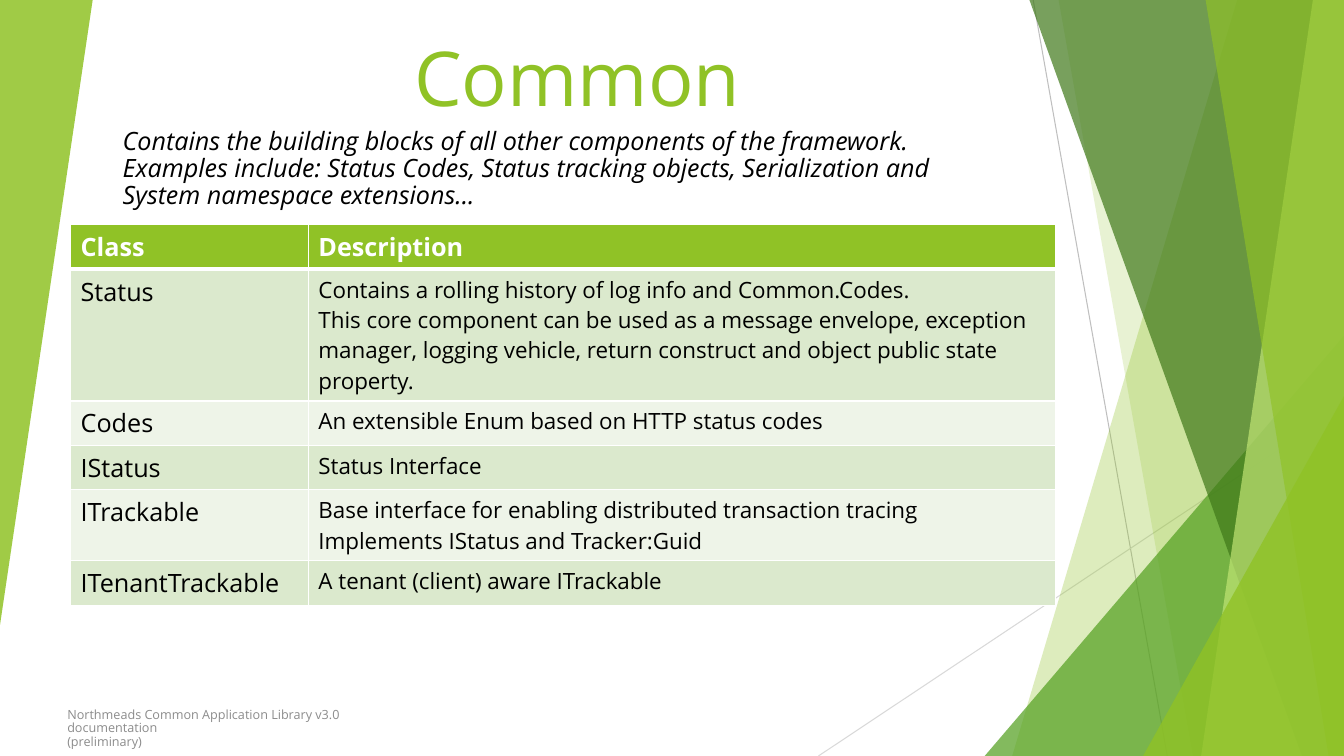
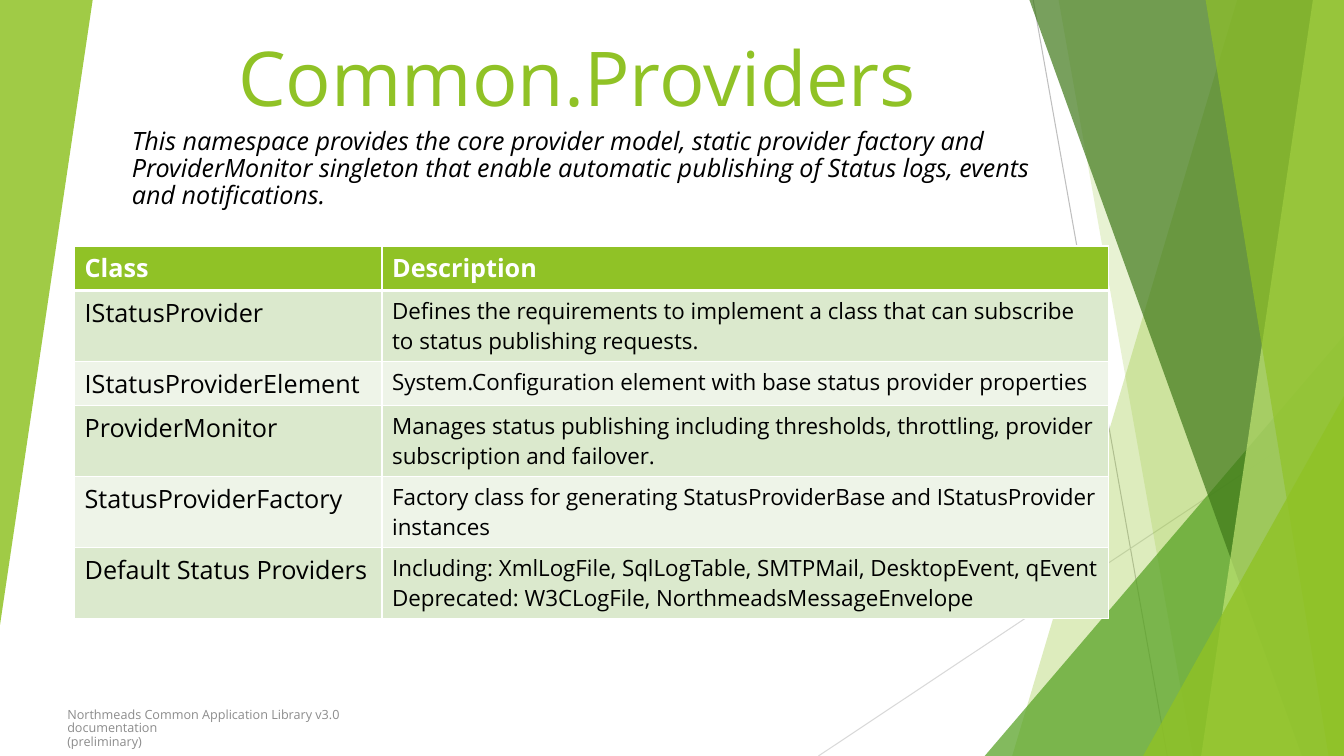
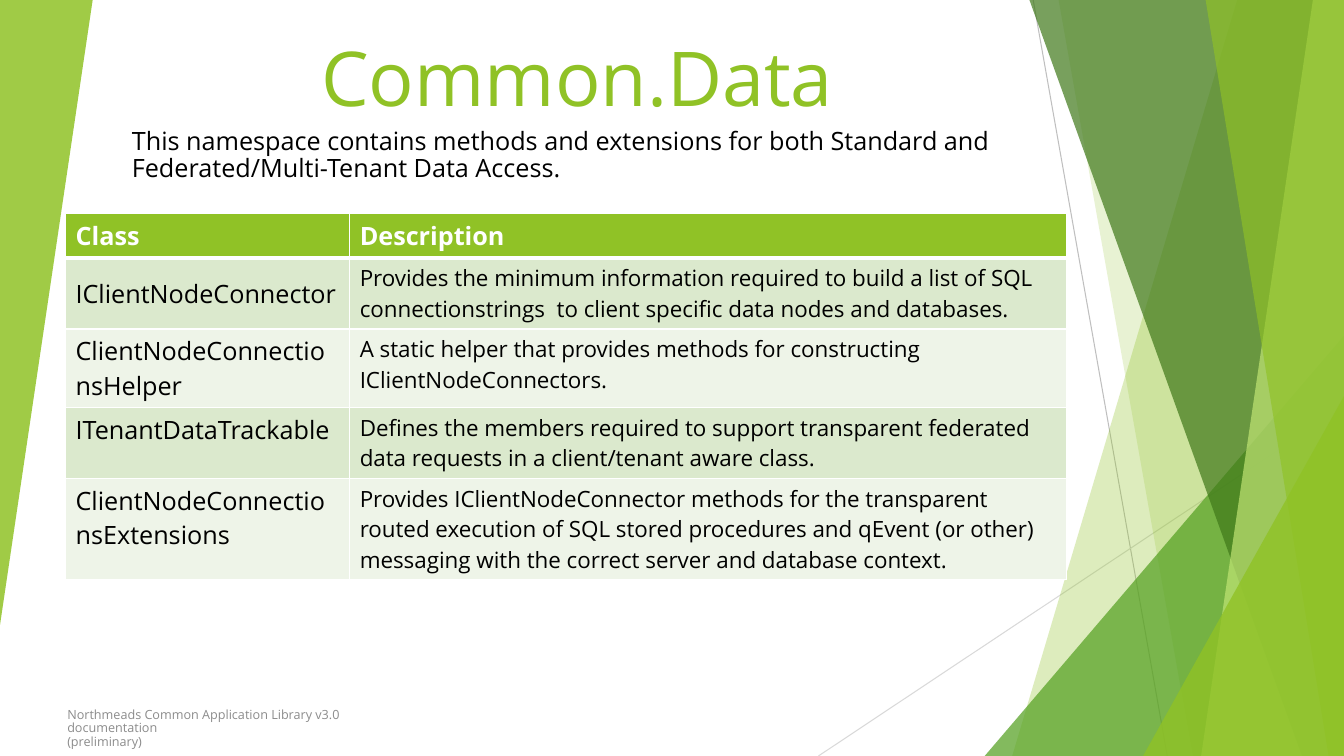
from dataclasses import dataclass

from lxml.etree import SubElement
from pptx import Presentation
from pptx.dml.color import RGBColor
from pptx.enum.shapes import MSO_CONNECTOR as Conn, MSO_SHAPE as Preset
from pptx.enum.text import MSO_ANCHOR as Anchor, MSO_AUTO_SIZE as AutoSize, PP_ALIGN as Align
from pptx.oxml.ns import qn
from pptx.util import Pt


# Theme
@dataclass(frozen=True)
class Theme:
    font: str = "Open Sans"
    green: str = "90C226"
    leaf: str = "54A021"
    forest: str = "3F7819"
    lime: str = "C0E474"
    white: str = "FFFFFF"
    black: str = "000000"
    muted: str = "8C8C8C"
    bands: tuple[str, str] = ("DBE9CD", "EEF4E8")
    title: float = 54
    body: float = 18
    detail: float = 16
    footer: float = 9
    tight: float = 0.89
    row_height: float = 29.2
    rule: float = 1
    header_rule: float = 3


T = Theme()
WIDTH, HEIGHT, TOP = 960, 540, -0.6


@dataclass(frozen=True)
class Box:
    left: float
    top: float
    width: float
    height: float

    def lengths(self) -> tuple[Pt, ...]:
        return tuple(Pt(v) for v in (self.left, self.top, self.width, self.height))


@dataclass(frozen=True)
class Ray:
    start: tuple[float, float]
    end: tuple[float, float]
    color: str


@dataclass(frozen=True)
class Shard:
    """Panel running from two x positions to the right edge of the slide."""
    top_x: float
    bottom_x: float
    color: str
    opacity: int


@dataclass(frozen=True)
class Wedge:
    box: Box
    color: str
    opacity: int
    rotation: int = 0


@dataclass(frozen=True)
class Row:
    name: str
    details: tuple[str, ...]
    anchor: Anchor = Anchor.TOP


@dataclass(frozen=True)
class Page:
    title: str
    intro: tuple[str, ...]
    intro_box: Box
    table_at: tuple[float, float]
    columns: tuple[float, float]
    rows: tuple[Row, ...]
    italic: bool = True


# Shared decoration, from back to front
RAYS = (
    Ray((738, 0), (833.8, HEIGHT), "BFBFBF"),
    Ray((WIDTH, 290.2), (584.6, HEIGHT), "D9D9D9"),
)
DECOR = (
    Shard(884.2, 722.9, T.green, 30),
    Shard(756, 851.8, T.green, 20),
    Wedge(Box(703.4, 239.8, 256.6, 300.2), T.leaf, 72),
    Shard(735.1, 929.5, T.forest, 70),
    Shard(938.2, 858.2, T.lime, 70),
    Shard(861.1, 949, T.green, 65),
    Wedge(Box(816.5, 283, 143.5, 257), T.green, 80),
    Wedge(Box(0, 0, 66.2, 446.4), T.green, 85, 180),
)
TITLE_BOX = Box(106.6, 10.1, 611.3, 77.8)
FOOTER_BOX = Box(41, 506.2, 268.6, 28.8)
FOOTER = ("Northmeads Common Application Library v3.0 documentation", "(preliminary)")

# Slide content
PAGES = (
    Page(
        "Common",
        ("Contains the building blocks of all other components of the framework.",
         "Examples include: Status Codes, Status tracking objects, Serialization and "
         "System namespace extensions..."),
        Box(80.6, 88.6, 627.8, 72.7), (50.4, 160.6), (169.9, 533.5),
        (
            Row("Status", (
                "Contains a rolling history of log info and Common.Codes.",
                "This core component can be used as a message envelope, exception manager, "
                "logging vehicle, return construct and object public state property.")),
            Row("Codes", ("An extensible Enum based on HTTP status codes",)),
            Row("IStatus", ("Status Interface",)),
            Row("ITrackable", (
                "Base interface for enabling distributed transaction tracing",
                "Implements IStatus and Tracker:Guid")),
            Row("ITenantTrackable", ("A tenant (client) aware ITrackable",)),
        ),
    ),
    Page(
        "Common.Providers",
        ("This namespace provides the core provider model, static provider factory and "
         "ProviderMonitor singleton that enable automatic publishing of Status logs, "
         "events and notifications.",),
        Box(87.1, 88.6, 661.7, 72.7), (53.3, 175.7), (219.6, 519.1),
        (
            Row("IStatusProvider", (
                "Defines the requirements to implement a class that can subscribe to "
                "status publishing requests.",)),
            Row("IStatusProviderElement", (
                "System.Configuration element with base status provider properties",)),
            Row("ProviderMonitor", (
                "Manages status publishing including thresholds, throttling, provider "
                "subscription and failover.",)),
            Row("StatusProviderFactory", (
                "Factory class for generating StatusProviderBase and IStatusProvider "
                "instances",)),
            Row("Default Status Providers", (
                "Including: XmlLogFile, SqlLogTable, SMTPMail, DesktopEvent, qEvent",
                "Deprecated: W3CLogFile, NorthmeadsMessageEnvelope")),
        ),
    ),
    Page(
        "Common.Data",
        ("This namespace contains methods and extensions for both Standard and "
         "Federated/Multi-Tenant Data Access.",),
        Box(87.1, 88.6, 661.7, 51.1), (46.8, 152.6), (203, 511.9),
        (
            Row("IClientNodeConnector", (
                "Provides the minimum information required to build a list of SQL "
                "connectionstrings  to client specific data nodes and databases.",),
                Anchor.MIDDLE),
            Row("ClientNodeConnectionsHelper", (
                "A static helper that provides methods for constructing "
                "IClientNodeConnectors.",)),
            Row("ITenantDataTrackable", (
                "Defines the members required to support transparent federated data "
                "requests in a client/tenant aware class.",)),
            Row("ClientNodeConnectionsExtensions", (
                "Provides IClientNodeConnector methods for the transparent routed "
                "execution of SQL stored procedures and qEvent (or other) messaging "
                "with the correct server and database context.",)),
        ),
        italic=False,
    ),
)


# Drawing helpers
def write(tf, lines: tuple[str, ...], size: float, color: str, align: Align = Align.LEFT,
          spacing: float = 1, **styles: bool) -> None:
    font_values = {"name": T.font, "size": Pt(size), "bold": False, "italic": False, **styles}
    for i, line in enumerate(lines):
        p = tf.add_paragraph() if i else tf.paragraphs[0]
        p.alignment, p.line_spacing = align, spacing
        r = p.add_run()
        r.text = line
        for name, value in font_values.items():
            setattr(r.font, name, value)
        r.font.color.rgb = RGBColor.from_string(color)


def paint(sp, color: str, opacity: int) -> None:
    sp.shadow.inherit = False
    sp.fill.solid()
    sp.fill.fore_color.rgb = RGBColor.from_string(color)
    sp.line.fill.background()
    clr = sp.fill._xPr.find(qn("a:solidFill"))[0]
    SubElement(clr, qn("a:alpha"), val=str(opacity * 1000))


def draw_ray(s, ray: Ray) -> None:
    points = (Pt(v) for v in ray.start + ray.end)
    line = s.shapes.add_connector(Conn.STRAIGHT, *points)
    line.line.color.rgb = RGBColor.from_string(ray.color)
    line.line.width = Pt(0.75)
    SubElement(line._element.spPr, qn("a:effectLst"))


def draw_shard(s, shard: Shard) -> None:
    outline = s.shapes.build_freeform(shard.top_x, TOP, scale=Pt(1))
    outline.add_line_segments(((WIDTH, TOP), (WIDTH, HEIGHT), (shard.bottom_x, HEIGHT)))
    paint(outline.convert_to_shape(), shard.color, shard.opacity)


def draw_wedge(s, wedge: Wedge) -> None:
    sp = s.shapes.add_shape(Preset.ISOSCELES_TRIANGLE, *wedge.box.lengths())
    sp.adjustments[0] = 1
    sp.rotation = wedge.rotation
    paint(sp, wedge.color, wedge.opacity)


def draw_decor(s) -> None:
    for ray in RAYS:
        draw_ray(s, ray)
    for part in DECOR:
        if isinstance(part, Shard):
            draw_shard(s, part)
        else:
            draw_wedge(s, part)


def draw_title(s, text: str) -> None:
    sp = s.shapes.title
    sp.left, sp.top, sp.width, sp.height = TITLE_BOX.lengths()
    tf = sp.text_frame
    frame_values = {"auto_size": AutoSize.NONE, "word_wrap": True,
                    "vertical_anchor": Anchor.BOTTOM, "margin_bottom": Pt(0)}
    for name, value in frame_values.items():
        setattr(tf, name, value)
    write(tf, (text,), T.title, T.green, Align.CENTER, T.tight)


def draw_text(s, box: Box, lines: tuple[str, ...], size: float, color: str,
              anchor: Anchor = Anchor.TOP, italic: bool = False) -> None:
    tf = s.shapes.add_textbox(*box.lengths()).text_frame
    tf.word_wrap, tf.vertical_anchor = True, anchor
    write(tf, lines, size, color, spacing=T.tight, italic=italic)


def fill_cell(cell, lines: tuple[str, ...], size: float, color: str, fill: str,
              bottom: float, anchor: Anchor = Anchor.TOP, bold: bool = False) -> None:
    cell.vertical_anchor = anchor
    write(cell.text_frame, lines, size, color, bold=bold)
    props = cell._tc.get_or_add_tcPr()
    for side in "LRTB":
        width = bottom if side == "B" else T.rule
        edge = SubElement(props, qn(f"a:ln{side}"), w=str(Pt(width)))
        SubElement(SubElement(edge, qn("a:solidFill")), qn("a:srgbClr"), val=T.white)
    cell.fill.solid()
    cell.fill.fore_color.rgb = RGBColor.from_string(fill)


def draw_table(s, page: Page) -> None:
    count = len(page.rows) + 1
    box = Box(*page.table_at, sum(page.columns), T.row_height * count)
    table = s.shapes.add_table(count, 2, *box.lengths()).table
    for column, width in zip(table.columns, page.columns):
        column.width = Pt(width)
    for c, heading in enumerate(("Class", "Description")):
        fill_cell(table.cell(0, c), (heading,), T.body, T.white, T.green,
                  T.header_rule, bold=True)
    for i, row in enumerate(page.rows):
        for c, (lines, size) in enumerate((((row.name,), T.body), (row.details, T.detail))):
            fill_cell(table.cell(i + 1, c), lines, size, T.black, T.bands[i % 2],
                      T.rule, row.anchor)


# Build the slides
prs = Presentation()
prs.slide_width, prs.slide_height = Pt(WIDTH), Pt(HEIGHT)
for page in PAGES:
    s = prs.slides.add_slide(prs.slide_layouts[5])
    draw_decor(s)
    draw_title(s, page.title)
    draw_table(s, page)
    draw_text(s, page.intro_box, page.intro, T.body, T.black, italic=page.italic)
    draw_text(s, FOOTER_BOX, FOOTER, T.footer, T.muted, Anchor.MIDDLE)
prs.save("out.pptx")
